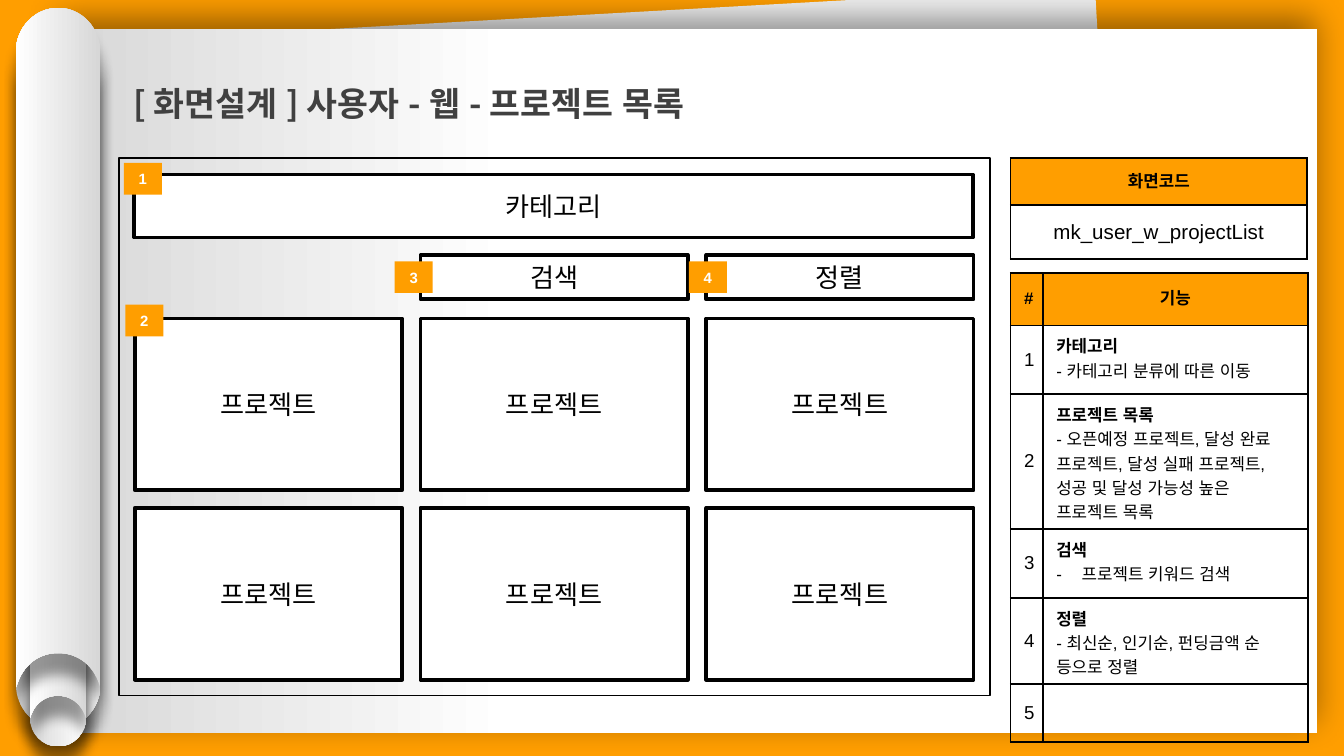
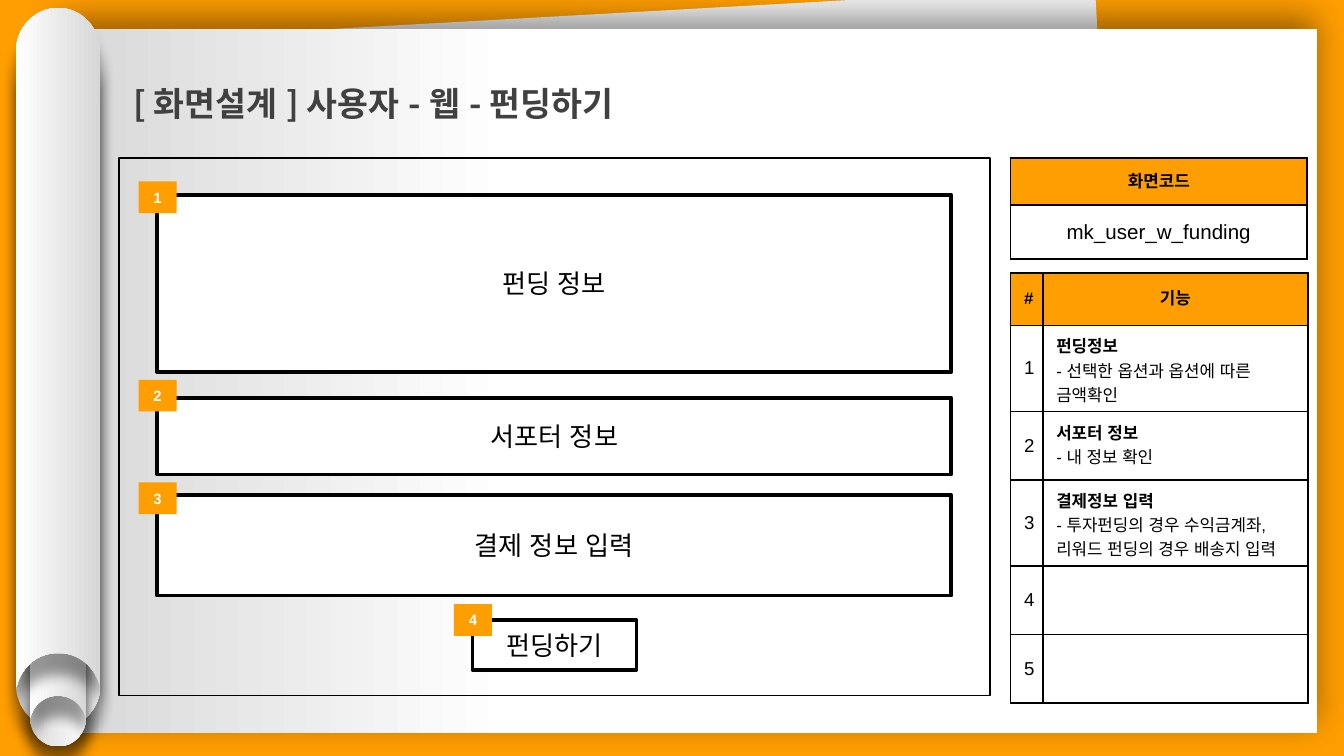
from lxml import etree
from pptx import Presentation
from pptx import util as u
from pptx.dml.color import RGBColor
from pptx.enum import shapes, text
from pptx.oxml import ns

COLORS = {
    "accent": "FF9E00",
    "black": "000000",
    "white": "FFFFFF",
    "title": "404040",
    "backing": "F2F2F2",
    "shade": "D7D7D7",
}
BODY_FONT, TITLE_FONT = "Arial", "Noto Sans CJK KR"
COLUMN_X, COLUMN_PITCH, COLUMN_WIDTH = 2.55, 5.4, 5.05

# Half outlines of a roll, as fractions of its width
DOME = [(0.5, 0), (0.78, 0), (1, 0.24), (1, 0.52)]
NOTCH = [(1, 0), (0.97, 0.08), (0.89, 0.29), (0.71, 0.41), (0.5, 0.41)]
ROLL_CURVES = (1, 6, 9, 14)  # first control point of each curve


def rgb(name):
    return RGBColor.from_string(COLORS[name])


def add_xml(parent, tag, **attributes):
    return etree.SubElement(parent, ns.qn(tag), attributes)


def mirror(points):
    return [(1 - x, y) for x, y in reversed(points)]


class Wireframe:
    """Holds the presentation, its style and the current slide."""

    def __init__(self):
        self.presentation = Presentation()
        self.presentation.slide_width = u.Cm(25.4)
        self.presentation.slide_height = u.Cm(14.29)
        self.slide = None

    # Formatting helpers
    def format_runs(self, paragraph, size, color="black", bold=False, face=BODY_FONT):
        for run in paragraph.runs:
            run.font.size = u.Pt(size)
            run.font.bold = bold
            run.font.name = face
            run.font.color.rgb = rgb(color)
            add_xml(run._r.get_or_add_rPr(), "a:ea", typeface=BODY_FONT)

    def set_margins(self, frame):
        frame.margin_left = frame.margin_right = u.Cm(0.18)
        frame.margin_top = frame.margin_bottom = u.Cm(0.1)
        frame.word_wrap = True

    def paint(self, shape, fill=None, line=None, width=2):
        shape.shadow.inherit = False
        if fill:
            shape.fill.solid()
            shape.fill.fore_color.rgb = rgb(fill)
        else:
            shape.fill.background()
        if line:
            shape.line.color.rgb = rgb(line)
            shape.line.width = u.Pt(width)
        else:
            shape.line.fill.background()

    def shade(self, shape, stops, blur, distance, direction):
        self.paint(shape)
        shape.fill.gradient()
        shape.fill.gradient_angle = 180
        for stop, (position, color) in zip(shape.fill.gradient_stops, stops):
            stop.position = position
            stop.color.rgb = rgb(color)
        effects = shape._element.spPr.find(ns.qn("a:effectLst"))
        shadow = add_xml(effects, "a:outerShdw", blurRad=str(u.Pt(blur)),
                         dist=str(u.Pt(distance)), dir=str(direction * 60000),
                         algn="ctr", rotWithShape="0")
        color = add_xml(shadow, "a:srgbClr", val=COLORS["black"])
        add_xml(color, "a:alpha", val="40000")

    # Slide background
    def rectangle(self, left, top, width, height):
        return self.slide.shapes.add_shape(
            shapes.MSO_SHAPE.RECTANGLE,
            u.Cm(left), u.Cm(top), u.Cm(width), u.Cm(height))

    def roll(self, group, left, top, width, height, rotation=0):
        """A strip with a round top and a round notch at the bottom."""
        bottom = height / width
        notch = [(x, bottom - y) for x, y in NOTCH]
        outline = DOME + notch + mirror(notch)[1:] + mirror(DOME)
        points = [(u.Cm(left + x * width), u.Cm(top + y * width)) for x, y in outline]
        builder = group.shapes.build_freeform(*points[0])
        builder.add_line_segments(points[1:], close=True)
        shape = builder.convert_to_shape()
        self.bend(shape)
        shape.rotation = rotation
        self.shade(shape, [(0, "shade"), (1, "white")], 7, 11, 90)

    def bend(self, shape):
        """Turn three line segments at each curve start into one curve."""
        outline = next(shape._element.iter(ns.qn("a:path")))
        segments = list(outline)
        for first in ROLL_CURVES:
            curve = etree.Element(ns.qn("a:cubicBezTo"))
            segments[first].addprevious(curve)
            for segment in segments[first:first + 3]:
                curve.append(segment[0])
                outline.remove(segment)

    def new_slide(self, title):
        layout = self.presentation.slide_layouts[6]
        self.slide = self.presentation.slides.add_slide(layout)
        background = self.slide.background.fill
        background.solid()
        background.fore_color.rgb = rgb("accent")

        backing = self.rectangle(1.74, 0.27, 19.33, 12.95)
        backing.rotation = -3.2
        self.paint(backing, "backing")
        paper = self.rectangle(1.09, 0.55, 23.8, 13.31)
        self.shade(paper, [(0.64, "white"), (1, "shade")], 18, 6, 270)

        scroll = self.slide.shapes.add_group_shape()
        self.roll(scroll, 0.3, 0.92, 1.6, 12.85, 180)
        self.roll(scroll, 0.56, 5.5, 1.07, 8.61, 180)
        self.roll(scroll, 0.56, 4.98, 1.07, 8.61)
        self.roll(scroll, 0.3, 0.15, 1.6, 12.85)
        self.title(title)

    # Text and wireframe elements
    def title(self, words):
        box = self.slide.shapes.add_textbox(
            u.Cm(2.34), u.Cm(1.09), u.Cm(18.31), u.Cm(1.35))
        frame = box.text_frame
        self.set_margins(frame)
        frame.auto_size = text.MSO_AUTO_SIZE.SHAPE_TO_FIT_TEXT
        frame.text = f"[ 화면설계 ] 사용자 - 웹 - {words}"
        frame.paragraphs[0].line_spacing = 1.5
        self.format_runs(frame.paragraphs[0], 18, "title", True, TITLE_FONT)

    def label(self, shape, words, size, color, bold=False):
        frame = shape.text_frame
        self.set_margins(frame)
        frame.vertical_anchor = text.MSO_ANCHOR.MIDDLE
        frame.text = words
        frame.paragraphs[0].alignment = text.PP_ALIGN.CENTER
        self.format_runs(frame.paragraphs[0], size, color, bold)

    def screen_frame(self):
        self.paint(self.rectangle(2.25, 2.99, 16.46, 10.16), line="black", width=0.75)

    def box(self, words, left, top, width, height):
        shape = self.rectangle(left, top, width, height)
        self.paint(shape, "white", "black")
        self.label(shape, words, 14, "black")

    def badge(self, number, left, top):
        shape = self.rectangle(left, top, 0.72, 0.6)
        self.paint(shape, "accent")
        self.label(shape, str(number), 8, "white", True)

    # Tables
    def grid(self, top, widths, heights):
        table = self.slide.shapes.add_table(
            len(heights), len(widths), u.Cm(19.1), u.Cm(top),
            u.Cm(sum(widths)), u.Cm(sum(heights))).table
        table.first_row = table.horz_banding = False
        for column, width in zip(table.columns, widths):
            column.width = u.Cm(width)
        for row, height in zip(table.rows, heights):
            row.height = u.Cm(height)
        for cell in table.iter_cells():
            self.border(cell)
            cell.fill.background()
        return table

    def border(self, cell):
        properties = cell._tc.get_or_add_tcPr()
        for side in ("a:lnL", "a:lnR", "a:lnT", "a:lnB"):
            line = add_xml(properties, side, w=str(u.Pt(1)))
            add_xml(add_xml(line, "a:solidFill"), "a:srgbClr", val=COLORS["black"])

    def centered_cell(self, cell, words, size, header=False):
        cell.text_frame.text = words
        cell.vertical_anchor = text.MSO_ANCHOR.MIDDLE
        cell.text_frame.paragraphs[0].alignment = text.PP_ALIGN.CENTER
        self.format_runs(cell.text_frame.paragraphs[0], size, bold=header)
        if header:
            cell.fill.solid()
            cell.fill.fore_color.rgb = rgb("accent")

    def dash_bullet(self, paragraph):
        properties = paragraph._p.get_or_add_pPr()
        properties.set("marL", str(u.Cm(0.48)))
        properties.set("indent", str(-u.Cm(0.48)))
        add_xml(add_xml(properties, "a:buClr"), "a:srgbClr", val=COLORS["black"])
        add_xml(properties, "a:buFont", typeface=BODY_FONT)
        add_xml(properties, "a:buChar", char="-")

    def code_table(self, code):
        table = self.grid(2.99, [5.6], [0.89, 1.02])
        self.centered_cell(table.cell(0, 0), "화면코드", 9, True)
        self.centered_cell(table.cell(1, 0), code, 11)

    def function_table(self, heights, functions, bulleted=()):
        table = self.grid(5.16, [0.6, 5.01], [0.99] + heights)
        for column, words in enumerate(("#", "기능")):
            self.centered_cell(table.cell(0, column), words, 9, True)
        for number in range(1, len(heights) + 1):
            self.centered_cell(table.cell(number, 0), str(number), 10)
        for number, (name, detail) in enumerate(functions, 1):
            frame = table.cell(number, 1).text_frame
            heading, body = frame.paragraphs[0], frame.add_paragraph()
            heading.text, body.text = name, detail
            if number in bulleted:
                self.dash_bullet(body)
            for paragraph in (heading, body):
                paragraph.line_spacing = u.Pt(13)
                self.format_runs(paragraph, 9, bold=paragraph is heading)


def project_list(page):
    page.new_slide("프로젝트 목록")
    page.code_table("mk_user_w_projectList")
    page.screen_frame()
    page.function_table([1.3, 2.54, 1.3, 1.63, 1.09], [
        ("카테고리", "- 카테고리 분류에 따른 이동"),
        ("프로젝트 목록", "- 오픈예정 프로젝트, 달성 완료 프로젝트, 달성 실패 프로젝트, "
                     "성공 및 달성 가능성 높은 프로젝트 목록"),
        ("검색", "프로젝트 키워드 검색"),
        ("정렬", "- 최신순, 인기순, 펀딩금액 순 등으로 정렬"),
    ], bulleted=(3,))

    # Category bar, project cards, sort and search
    columns = [COLUMN_X + COLUMN_PITCH * index for index in range(3)]
    page.box("카테고리", 2.54, 3.3, 15.85, 1.19)
    for top in (6.02, 9.6):
        for left in columns:
            page.box("프로젝트", left, top, COLUMN_WIDTH, 3.25)
    for words, left in (("정렬", columns[2]), ("검색", columns[1])):
        page.box(words, left, 4.82, COLUMN_WIDTH, 0.84)
    badges = [(2.34, 3.08), (2.37, 5.76), (7.46, 4.94), (13.02, 4.94)]
    for number, (left, top) in enumerate(badges, 1):
        page.badge(number, left, top)


def funding(page):
    page.new_slide("펀딩하기")
    page.code_table("mk_user_w_funding")
    page.screen_frame()
    page.function_table([1.63, 1.29, 1.63, 1.29, 1.29], [
        ("펀딩정보", "- 선택한 옵션과 옵션에 따른 금액확인"),
        ("서포터 정보", "- 내 정보 확인"),
        ("결제정보 입력", "- 투자펀딩의 경우 수익금계좌,리워드 펀딩의 경우 배송지 입력"),
    ])

    # Form sections and the button, each with its badge
    sections = [
        ("펀딩 정보", 2.97, 3.68, 15.01, 3.35, 3.43),
        ("서포터 정보", 2.97, 7.52, 15.01, 1.45, 7.18),
        ("결제 정보 입력", 2.97, 9.36, 15.01, 1.9, 9.12),
        ("펀딩하기", 8.93, 11.72, 3.1, 0.94, 11.42),
    ]
    for number, (words, left, top, width, height, badge_top) in enumerate(sections, 1):
        page.box(words, left, top, width, height)
        page.badge(number, left - 0.35, badge_top)


def main():
    page = Wireframe()
    project_list(page)
    funding(page)
    page.presentation.save("out.pptx")


if __name__ == "__main__":
    main()
